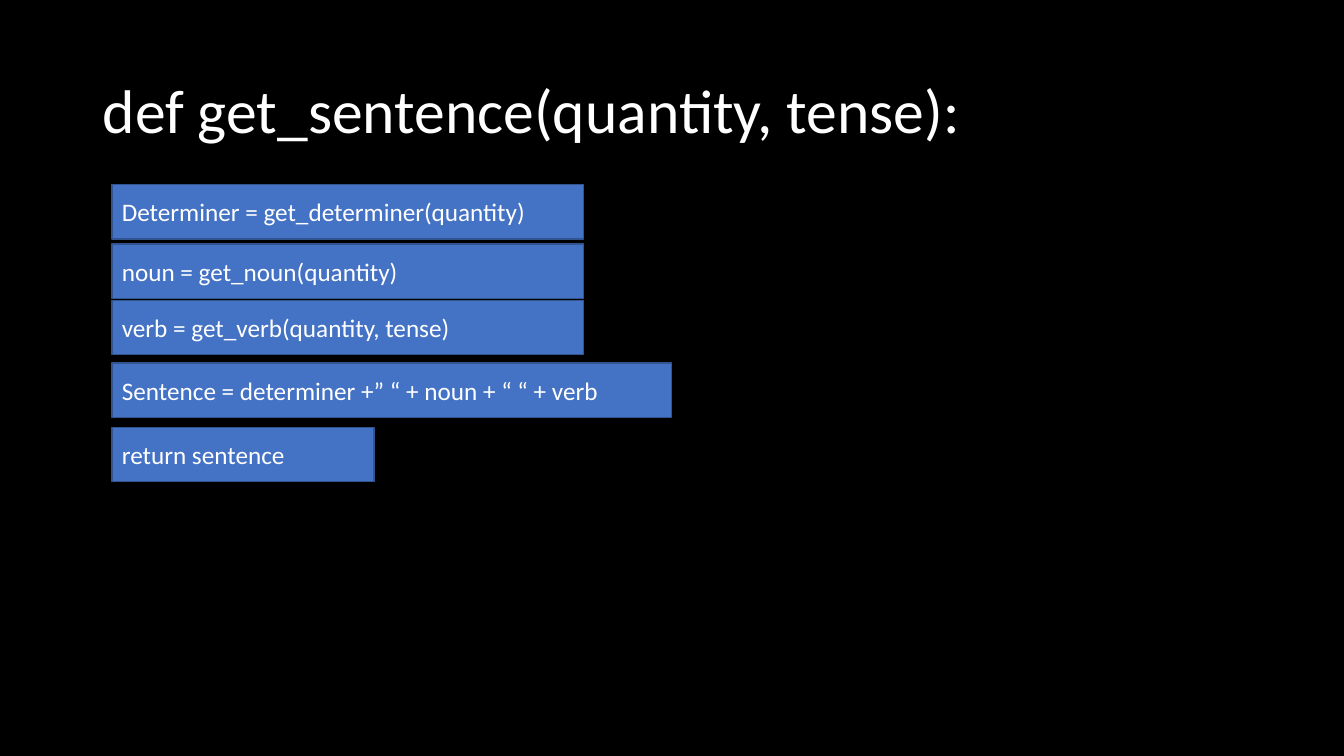
from pptx import Presentation
from pptx.dml.color import RGBColor as Color
from pptx.enum.shapes import MSO_SHAPE as Shape
from pptx.enum.text import MSO_ANCHOR as Anchor, MSO_AUTO_SIZE as AutoSize, PP_ALIGN as Align
from pptx.util import Inches, Pt

COLORS = {"background": "000000", "text": "FFFFFF", "fill": "4472C4", "border": "325491"}
STATEMENTS = [
    ("Determiner = get_determiner(quantity)", 24.4, 35.1),
    ("noun = get_noun(quantity)", 32.27, 35.1),
    ("verb = get_verb(quantity, tense)", 39.73, 35.1),
    ("Sentence = determiner +” “ + noun + “ “ + verb", 48, 41.63),
    ("return sentence", 56.53, 19.5),
]


class CodeSlide:
    """Style and current slide, with positions in percent of the slide's size."""

    font = "Calibri"

    def __init__(self, deck):
        self.deck = deck
        self.page = deck.slides.add_slide(deck.slide_layouts[5])
        background = self.page.background.fill
        background.solid()
        background.fore_color.rgb = self.color("background")

    def color(self, name):
        return Color.from_string(COLORS[name])

    def area(self, left, top, width, height):
        across, down = self.deck.slide_width / 100, self.deck.slide_height / 100
        return [round(size) for size in (left * across, top * down, width * across, height * down)]

    def set_text(self, box, text, size, spacing=1.0):
        frame = box.text_frame
        frame.text = text
        frame.word_wrap = True
        frame.auto_size = AutoSize.NONE
        frame.vertical_anchor = Anchor.MIDDLE
        para = frame.paragraphs[0]
        para.alignment = Align.LEFT
        para.line_spacing = spacing
        font = para.runs[0].font
        font.name, font.size = self.font, Pt(size)
        font.color.rgb = self.color("text")

    def title(self, text, *place):
        box = self.page.shapes.title
        box.left, box.top, box.width, box.height = self.area(*place)
        self.set_text(box, text, 44, 0.9)

    def statement(self, text, *place):
        box = self.page.shapes.add_shape(Shape.RECTANGLE, *self.area(*place))
        box.shadow.inherit = False
        box.fill.solid()
        box.fill.fore_color.rgb = self.color("fill")
        box.line.color.rgb = self.color("border")
        box.line.width = Pt(1)
        self.set_text(box, text, 18)


def main():
    deck = Presentation()
    deck.slide_width, deck.slide_height = Inches(13.33), Inches(7.5)
    slide = CodeSlide(deck)
    slide.title("def get_sentence(quantity, tense):", 6.9, 5.33, 86.27, 19.33)
    for text, top, width in STATEMENTS:
        slide.statement(text, 8.33, top, width, 7.2)
    deck.save("out.pptx")


if __name__ == "__main__":
    main()
